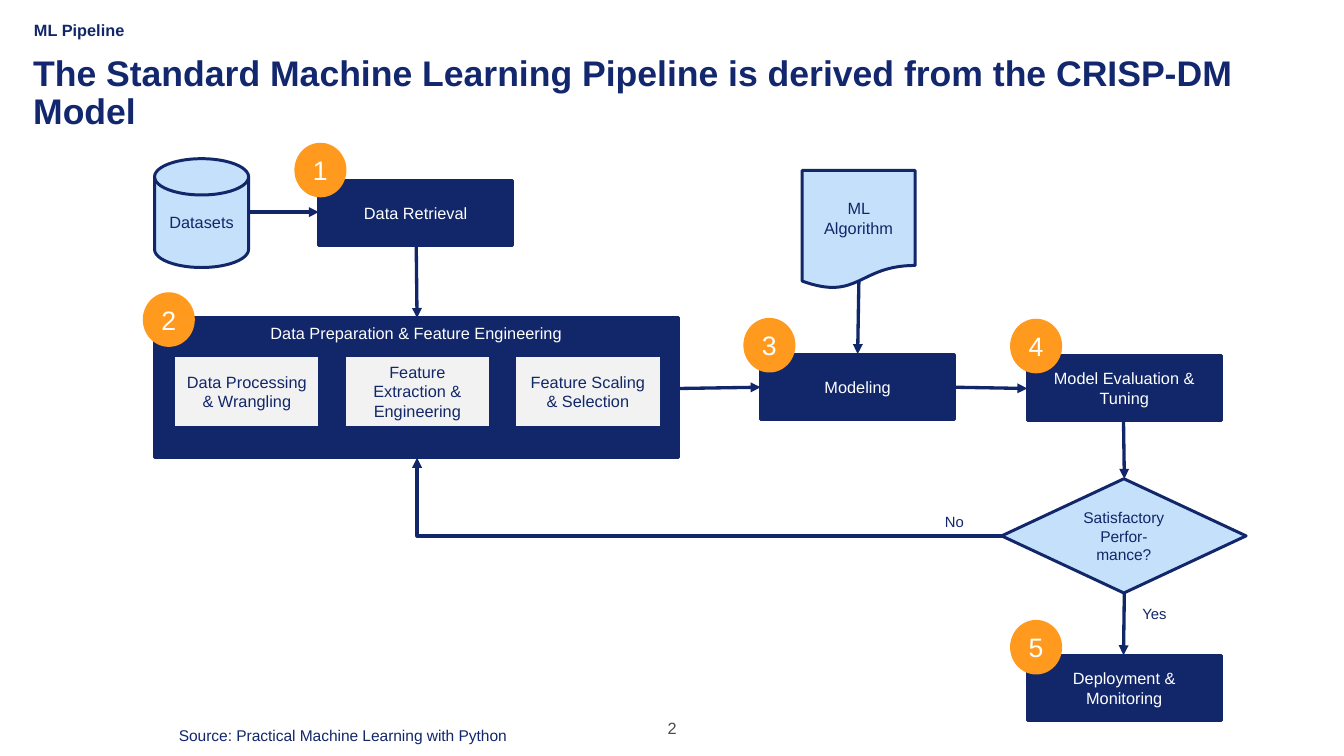
from lxml import etree
from pptx import Presentation
from pptx.dml.color import RGBColor
from pptx.enum.shapes import MSO_CONNECTOR, MSO_SHAPE
from pptx.enum.text import MSO_ANCHOR, MSO_AUTO_SIZE, PP_ALIGN
from pptx.oxml.ns import qn
from pptx.util import Cm, Pt

NAVY = RGBColor(0x12, 0x27, 0x69)
TITLE_NAVY = RGBColor(0x12, 0x27, 0x6E)
SKY = RGBColor(0xC4, 0xE0, 0xFA)
PALE = RGBColor(0xF2, 0xF2, 0xF2)
ORANGE = RGBColor(0xFF, 0x9A, 0x1E)
GREY = RGBColor(0x4B, 0x4B, 0x4B)
WHITE = RGBColor(0xFF, 0xFF, 0xFF)

RECTANGLE = MSO_SHAPE.RECTANGLE
ELLIPSE = MSO_SHAPE.OVAL
DISK = MSO_SHAPE.FLOWCHART_MAGNETIC_DISK
DOCUMENT = MSO_SHAPE.FLOWCHART_DOCUMENT
DECISION = MSO_SHAPE.FLOWCHART_DECISION
STRAIGHT = MSO_CONNECTOR.STRAIGHT
TOP, MIDDLE, BOTTOM = MSO_ANCHOR.TOP, MSO_ANCHOR.MIDDLE, MSO_ANCHOR.BOTTOM
LEFT, CENTER = PP_ALIGN.LEFT, PP_ALIGN.CENTER
GROW = MSO_AUTO_SIZE.SHAPE_TO_FIT_TEXT

STEP_SIZE = (4.62, 1.55)
TASK_SIZE = (3.48, 1.7)
BADGE_SIZE = (1.24, 1.3)
TASK_LEFT, TASK_TOP, TASK_PITCH = 4.14, 8.47, 4.06

STEPS = [
    ("Data Retrieval", 7.59, 4.29),
    ("Modeling", 18.11, 8.43),
    ("Model Evaluation & Tuning", 24.46, 8.46),
    ("Deployment & Monitoring", 24.46, 15.6),
]
TASKS = [
    "Data Processing & Wrangling",
    "Feature Extraction & Engineering",
    "Feature Scaling & Selection",
]
ARROWS = [
    (5.92, 5.05, 7.59, 5.05),
    (9.91, 5.84, 9.93, 7.57),
    (16.15, 9.25, 18.11, 9.22),
    (20.45, 6.68, 20.42, 8.43),
    (22.73, 9.22, 24.46, 9.25),
    (26.75, 10.01, 26.77, 11.4),
    (26.77, 14.12, 26.75, 15.6),
]
BADGES = [(7.01, 3.4), (3.4, 6.96), (17.7, 7.57), (24.05, 7.59), (24.05, 14.76)]
LABELS = [
    ("No", (22.25, 12.09, 0.97, 0.69), 10),
    ("Yes", (26.95, 14.27, 1.12, 0.69), 10),
    ("Source: Practical Machine Learning with Python", (4.01, 17.15, 8.48, 0.71), 10.5),
]


def apply(target, values):
    for name, value in values.items():
        setattr(target, name, value)


class PipelineSlide:
    font_name = "Arial"
    outline_width = Pt(2)
    arrow_width = Pt(2.25)

    def __init__(self, presentation):
        self.slide = presentation.slides.add_slide(presentation.slide_layouts[6])
        self.shapes = self.slide.shapes

    def set_text(self, shape, text, color, size, bold=False, align=CENTER, spacing=1.0, **frame):
        text_frame = shape.text_frame
        apply(text_frame, {"word_wrap": True, **frame})
        paragraph = text_frame.paragraphs[0]
        apply(paragraph, {"text": text, "alignment": align, "line_spacing": spacing})
        apply(paragraph.font, {"name": self.font_name, "size": Pt(size), "bold": bold})
        paragraph.font.color.rgb = color

    def box(self, kind, text, place, fill, color=NAVY, size=11, anchor=MIDDLE, outlined=True):
        shape = self.shapes.add_shape(kind, *map(Cm, place))
        shape.shadow.inherit = False
        shape.fill.solid()
        shape.fill.fore_color.rgb = fill
        if outlined:
            shape.line.color.rgb = NAVY
            shape.line.width = self.outline_width
        else:
            shape.line.fill.background()
        self.set_text(shape, text, color, size, vertical_anchor=anchor)

    def heading(self, text, place, color, size, anchor=TOP, **style):
        shape = self.shapes.add_textbox(*map(Cm, place))
        margins = dict.fromkeys(("margin_left", "margin_top", "margin_right", "margin_bottom"), 0)
        self.set_text(shape, text, color, size, vertical_anchor=anchor, **margins, **style)

    def label(self, text, place, size):
        shape = self.shapes.add_textbox(*map(Cm, place))
        self.set_text(shape, text, NAVY, size, align=LEFT, word_wrap=False, auto_size=GROW)

    def arrow(self, points):
        connector = self.shapes.add_connector(STRAIGHT, *map(Cm, points))
        connector.line.color.rgb = NAVY
        connector.line.width = self.arrow_width
        properties = connector._element.spPr
        line = properties.find(qn("a:ln"))
        etree.SubElement(line, qn("a:tailEnd"), type="triangle")
        etree.SubElement(properties, qn("a:effectLst"))
        return properties

    def feedback_arrow(self, points):
        properties = self.arrow(points)
        properties.find(qn("a:prstGeom")).set("prst", "bentConnector2")
        properties.find(qn("a:xfrm")).set("rot", "10800000")


def main():
    presentation = Presentation()
    apply(presentation, {"slide_width": Cm(32), "slide_height": Cm(18)})
    page = PipelineSlide(presentation)

    page.heading("2", (14.86, 17.09, 2.29, 0.48), GREY, 11, BOTTOM)
    page.heading("ML Pipeline", (0.81, 0, 30.4, 0.94), NAVY, 11, BOTTOM,
                 bold=True, align=LEFT, spacing=1.04)
    page.heading("The Standard Machine Learning Pipeline is derived from the CRISP-DM Model",
                 (0.79, 1.32, 30.4, 1.85), TITLE_NAVY, 24,
                 bold=True, align=LEFT, spacing=0.9)

    page.box(DISK, "Datasets", (3.68, 3.78, 2.24, 2.59), SKY)
    page.box(RECTANGLE, "Data Preparation & Feature Engineering",
             (3.68, 7.57, 12.47, 3.33), NAVY, WHITE, anchor=TOP)
    for text, left, top in STEPS:
        page.box(RECTANGLE, text, (left, top, *STEP_SIZE), NAVY, WHITE)
    page.box(DOCUMENT, "ML Algorithm", (19.1, 4.06, 2.69, 2.82), SKY)
    page.box(DECISION, "Satisfactory Perfor-mance?", (23.85, 11.4, 5.82, 2.72), SKY, size=10.5)
    for index, text in enumerate(TASKS):
        left = TASK_LEFT + index * TASK_PITCH
        page.box(RECTANGLE, text, (left, TASK_TOP, *TASK_SIZE), PALE)

    for points in ARROWS:
        page.arrow(points)
    page.feedback_arrow((9.93, 10.9, 23.85, 12.76))
    for text, place, size in LABELS:
        page.label(text, place, size)
    for number, (left, top) in enumerate(BADGES, start=1):
        page.box(ELLIPSE, str(number), (left, top, *BADGE_SIZE), ORANGE, WHITE, 18, outlined=False)

    presentation.save("out.pptx")


if __name__ == "__main__":
    main()
